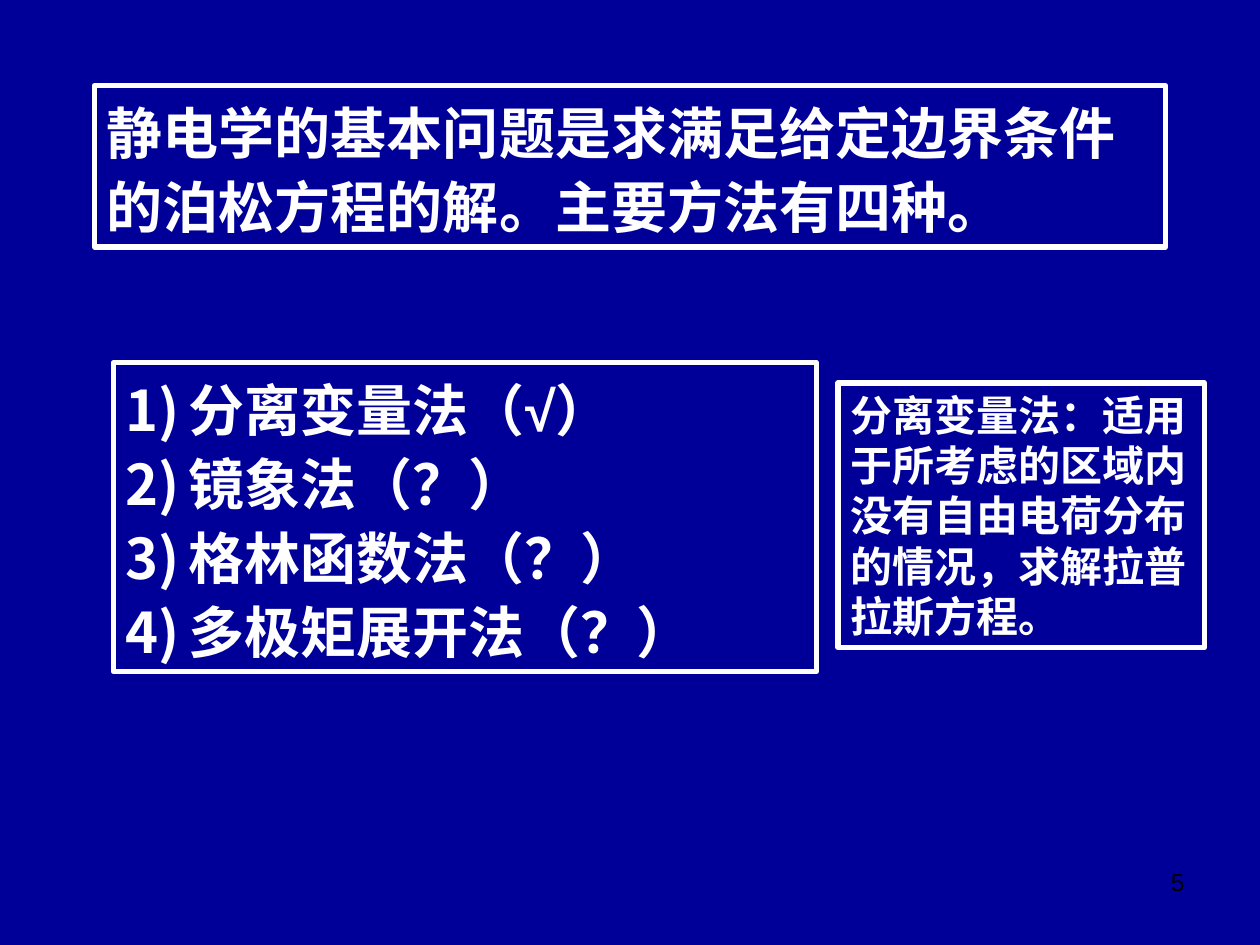
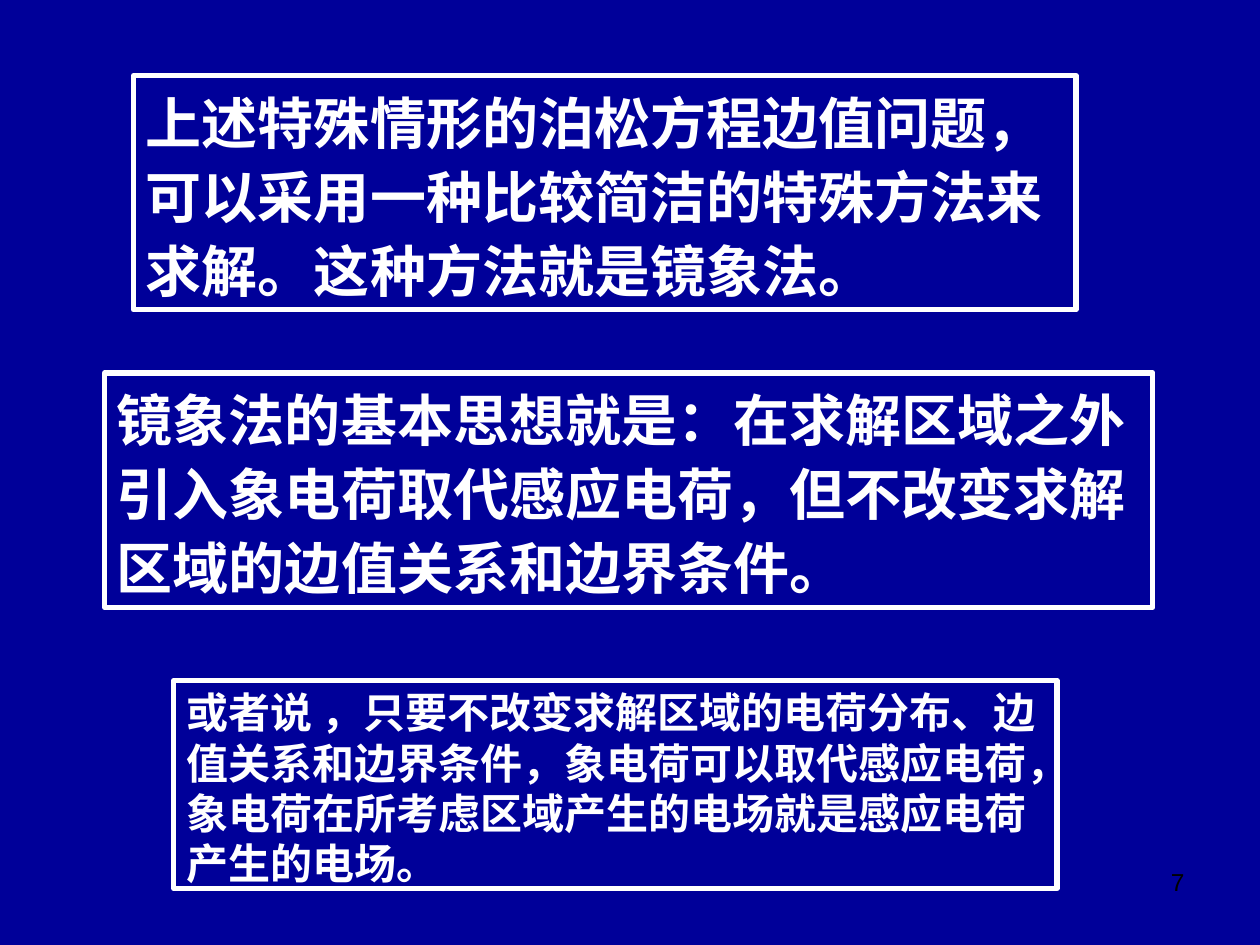
"""Build two slides on solving electrostatic boundary problems and the image method."""
import pptx
import pptx.dml.color
import pptx.enum.shapes
import pptx.enum.text
import pptx.oxml.ns
import pptx.util
from lxml import etree

CHINESE = "Noto Sans CJK SC"
WHITE, NAVY, BLACK = "FFFFFF", "000099", "000000"
LARGE, MEDIUM, SMALL = 32, 24, 14


def color(hex_string):
    return pptx.dml.color.RGBColor.from_string(hex_string)


def write(box, lines, size=LARGE, latin=CHINESE, east=CHINESE, ink=WHITE, bold=True,
          spacing=1.0, align=pptx.enum.text.PP_ALIGN.LEFT, numbered=False, symbol="√"):
    frame = box.text_frame
    frame.word_wrap = True
    frame.vertical_anchor = pptx.enum.text.MSO_ANCHOR.TOP
    for index, line in enumerate(lines):
        para = frame.add_paragraph() if index else frame.paragraphs[0]
        para.alignment = align
        para.line_spacing = spacing
        if numbered:
            properties = para._p.get_or_add_pPr()
            indent = pptx.util.Inches(0.5)
            properties.set("marL", str(indent))
            properties.set("indent", str(-indent))
            bullet = etree.SubElement(properties, pptx.oxml.ns.qn("a:buAutoNum"))
            bullet.set("type", "arabicParenR")
        before, mark, after = line.partition(symbol)
        for text in filter(None, (before, mark, after)):
            span = para.add_run()
            span.text = text
            span.font.size = pptx.util.Pt(size)
            span.font.bold = bold
            span.font.color.rgb = color(ink)
            span.font.name = "Arial" if text == symbol else latin
            typeface = etree.SubElement(span.font._element, pptx.oxml.ns.qn("a:ea"))
            typeface.set("typeface", "Arial" if text == symbol else east)


deck = pptx.Presentation()
deck.slide_width = pptx.util.Inches(10)
deck.slide_height = pptx.util.Inches(7.5)
column, row = deck.slide_width / 100, deck.slide_height / 100

pages = [
    ("5", CHINESE, [
        ((66.5, 40.53, 29.1, 28), MEDIUM, False,
         ["分离变量法：适用于所考虑的区域内没有自由电荷分布的情况，求解拉普拉斯方程。"]),
        ((9, 38.4, 55.8, 32.67), LARGE, True,
         ["分离变量法（√）", "镜象法（？）", "格林函数法（？）", "多极矩展开法（？）"]),
        ((7.5, 9.07, 85, 17.07), LARGE, False,
         ["静电学的基本问题是求满足给定边界条件的泊松方程的解。主要方法有四种。"]),
    ]),
    ("7", "Lato", [
        ((10.6, 8, 74.8, 24.8), LARGE, False,
         ["上述特殊情形的泊松方程边值问题，可以采用一种比较简洁的特殊方法来求解。这种方法就是镜象法。"]),
        ((8.3, 39.47, 83.2, 24.8), LARGE, False,
         ["镜象法的基本思想就是：在求解区域之外引入象电荷取代感应电荷，但不改变求解区域的边值关系和边界条件。"]),
        ((13.8, 72, 70.1, 22), MEDIUM, False,
         ["或者说 ，只要不改变求解区域的电荷分布、边值关系和边界条件，象电荷可以取代感应电荷，"
          "象电荷在所考虑区域产生的电场就是感应电荷产生的电场。"]),
    ]),
]

for number, latin, panels in pages:
    page = deck.slides.add_slide(deck.slide_layouts[6])
    page.background.fill.solid()
    page.background.fill.fore_color.rgb = color(NAVY)
    for (left, top, width, height), size, numbered, lines in panels:
        box = page.shapes.add_shape(
            pptx.enum.shapes.MSO_SHAPE.RECTANGLE, round(left * column), round(top * row),
            round(width * column), round(height * row))
        box.shadow.inherit = False
        box.fill.background()
        box.line.color.rgb = color(WHITE)
        box.line.width = pptx.util.Pt(3)
        write(box, lines, size=size, latin=latin, numbered=numbered,
              spacing=1.1 if size == LARGE else 1.0)
    footer = page.shapes.add_textbox(round(71.7 * column), round(91.07 * row),
                                     round(23.3 * column), round(6.93 * row))
    write(footer, [number], size=SMALL, latin="Arial", east="Arial", ink=BLACK, bold=False,
          align=pptx.enum.text.PP_ALIGN.RIGHT)

deck.save("out.pptx")
